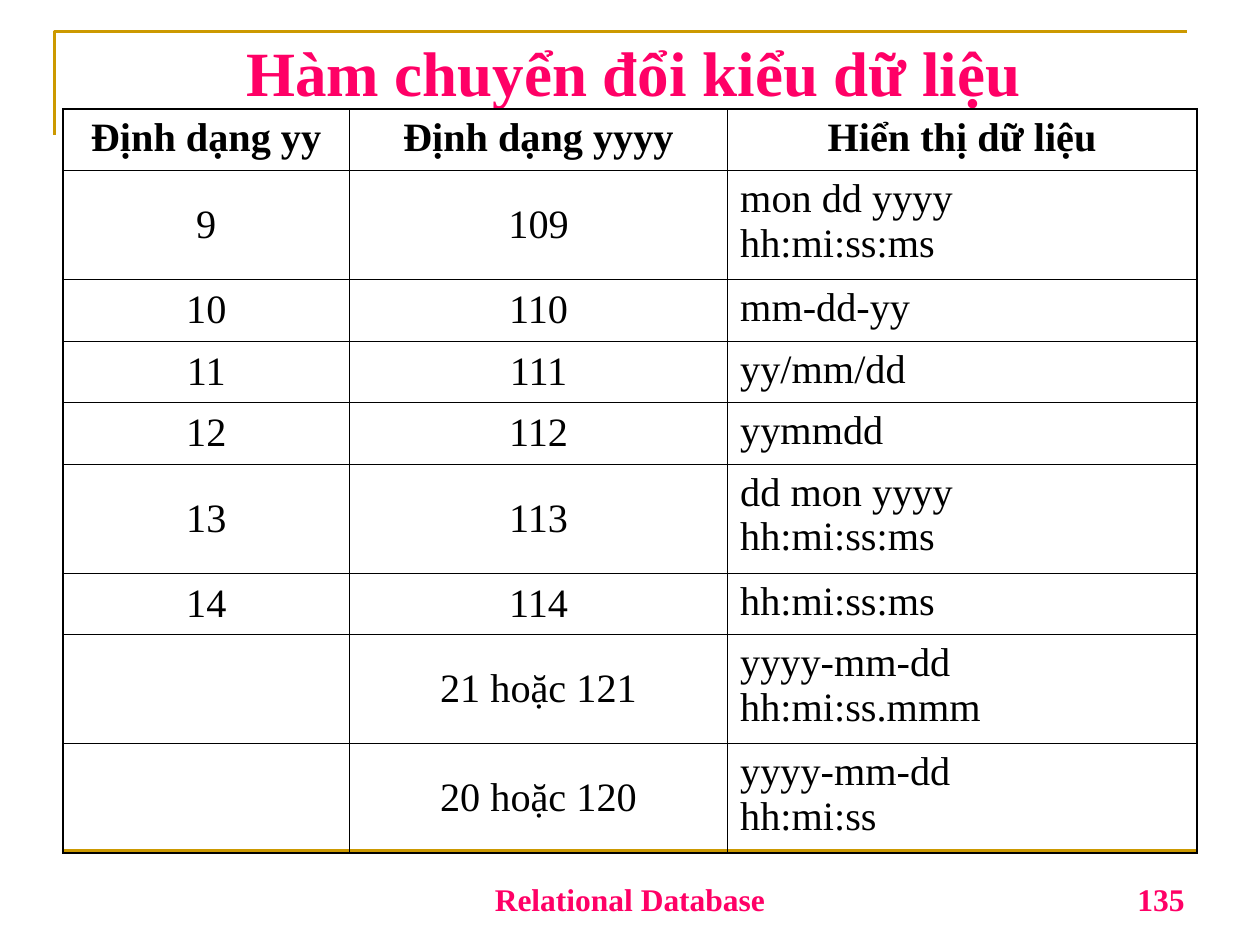
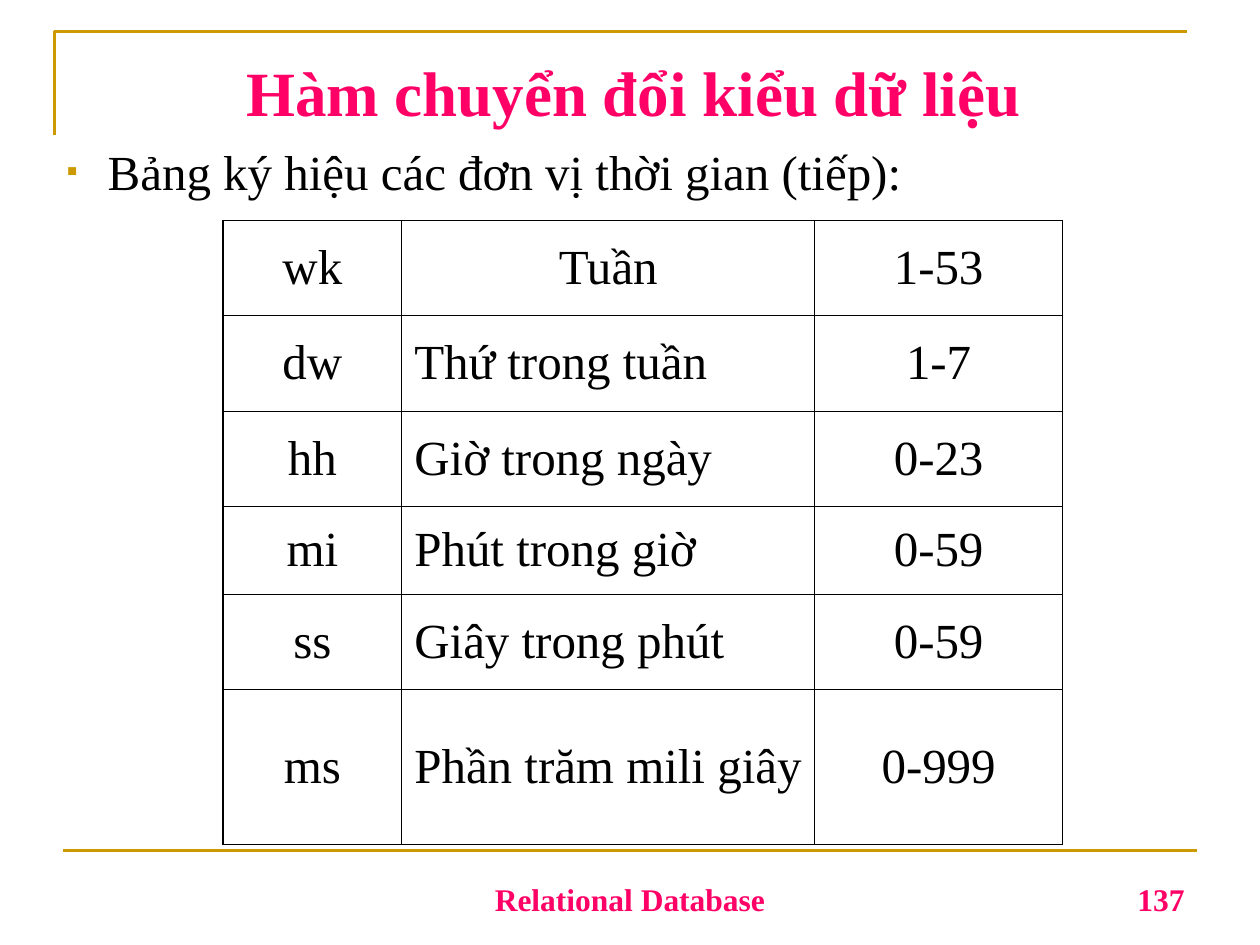
from lxml import etree
from pptx import Presentation
from pptx.dml.color import RGBColor
from pptx.enum import shapes, text
from pptx.oxml import ns
from pptx.util import Pt

FONT = "Times New Roman"
PINK, GOLD, BLACK = "FF0066", "CC9900", "000000"
LEFT, CENTER, RIGHT = text.PP_ALIGN.LEFT, text.PP_ALIGN.CENTER, text.PP_ALIGN.RIGHT
TOP, MIDDLE, BOTTOM = text.MSO_ANCHOR.TOP, text.MSO_ANCHOR.MIDDLE, text.MSO_ANCHOR.BOTTOM
OUTER_BORDER, INNER_BORDER = 1.08, 0.45

TITLE = "Hàm chuyển đổi kiểu dữ liệu"
FOOTER = "Relational Database"
HEADING = {"size": Pt(36), "bold": True, "color": PINK}
FOOTNOTE = {"size": Pt(18), "bold": True, "color": PINK}
BODY = {"size": Pt(28), "bold": False, "color": BLACK}
TABLE_TEXT = {"size": Pt(23), "bold": False, "color": BLACK}
TABLE_HEAD = {**TABLE_TEXT, "bold": True}

DATE_FORMATS = [
    ("Định dạng yy", "Định dạng yyyy", "Hiển thị dữ liệu"),
    ("9", "109", "mon dd yyyy\nhh:mi:ss:ms"),
    ("10", "110", "mm-dd-yy"),
    ("11", "111", "yy/mm/dd"),
    ("12", "112", "yymmdd"),
    ("13", "113", "dd mon yyyy\nhh:mi:ss:ms"),
    ("14", "114", "hh:mi:ss:ms"),
    ("", "21 hoặc 121", "yyyy-mm-dd\nhh:mi:ss.mmm"),
    ("", "20 hoặc 120", "yyyy-mm-dd\nhh:mi:ss"),
]
TIME_UNITS = [
    ("wk", "Tuần", "1-53"),
    ("dw", "Thứ trong tuần", "1-7"),
    ("hh", "Giờ trong ngày", "0-23"),
    ("mi", "Phút trong giờ", "0-59"),
    ("ss", "Giây trong phút", "0-59"),
    ("ms", "Phần trăm mili giây", "0-999"),
]


def color(value):
    return RGBColor.from_string(value)


def apply(target, values):
    for name, value in values.items():
        if name == "color":
            target.color.rgb = color(value)
        else:
            setattr(target, name, value)


def write(frame, content, style, align):
    frame.text = content
    for paragraph in frame.paragraphs:
        paragraph.alignment = align
        apply(paragraph.font, {"name": FONT, **style})


def add_text(slide, box, content, style, align=LEFT, anchor=TOP, top_inset=3.6):
    shape = slide.shapes.add_textbox(*map(Pt, box))
    frame = shape.text_frame
    apply(frame, {"word_wrap": True, "vertical_anchor": anchor, "margin_top": Pt(top_inset)})
    write(frame, content, style, align)
    return shape


def add_bullet(slide, box, content):
    paragraph = add_text(slide, box, content, BODY, top_inset=4).text_frame.paragraphs[0]
    properties = paragraph._p.get_or_add_pPr()
    for name, value in {"marL": Pt(23.5), "indent": -Pt(23.5)}.items():
        properties.set(name, str(int(value)))
    bullet_parts = [
        etree.Element(ns.qn("a:buClr")),
        etree.Element(ns.qn("a:buSzPct"), val="65000"),
        etree.Element(ns.qn("a:buFont"), typeface=FONT),
        etree.Element(ns.qn("a:buChar"), char="▪"),
    ]
    etree.SubElement(bullet_parts[0], ns.qn("a:srgbClr"), val=GOLD)
    for position, part in enumerate(bullet_parts):
        properties.insert(position, part)


def add_frame(slide, left, top, width, height):
    builder = slide.shapes.build_freeform(left, top + height, scale=Pt(1))
    builder.add_line_segments([(left, top), (left + width, top)], close=False)
    corner = builder.convert_to_shape()
    corner.shadow.inherit = False
    corner.fill.background()
    return corner


def add_rule(slide, left, top, width):
    ends = map(Pt, (left, top, left + width, top))
    rule = slide.shapes.add_connector(shapes.MSO_CONNECTOR.STRAIGHT, *ends)
    etree.SubElement(rule._element.spPr, ns.qn("a:effectLst"))
    return rule


def add_borders(cell, widths):
    properties = cell._tc.get_or_add_tcPr()
    for side, width in widths.items():
        line = etree.SubElement(properties, ns.qn(f"a:ln{side}"), w=str(int(Pt(width))))
        fill = etree.SubElement(line, ns.qn("a:solidFill"))
        etree.SubElement(fill, ns.qn("a:srgbClr"), val=BLACK)
    cell.fill.background()


def add_grid(slide, left, top, widths, heights, rows, format_cell):
    box = (left, top, sum(widths), sum(heights))
    table = slide.shapes.add_table(len(rows), len(widths), *map(Pt, box)).table
    apply(table, {"first_row": False, "horz_banding": False})
    for column, width in zip(table.columns, widths):
        column.width = Pt(width)
    last_row, last_column = len(rows) - 1, len(widths) - 1
    for i, row in enumerate(rows):
        table.rows[i].height = Pt(heights[i])
        for j, content in enumerate(row):
            cell = table.cell(i, j)
            style, align, anchor = format_cell(i, j)
            write(cell.text_frame, content, style, align)
            cell.vertical_anchor = anchor
            edges = {"L": j == 0, "R": j == last_column, "T": i == 0, "B": i == last_row}
            add_borders(cell, {side: OUTER_BORDER if outer else INNER_BORDER
                               for side, outer in edges.items()})


def format_date_cell(row, column):
    if row == 0:
        return TABLE_HEAD, CENTER, TOP
    return (TABLE_TEXT, LEFT, TOP) if column == 2 else (TABLE_TEXT, CENTER, MIDDLE)


def format_unit_cell(row, column):
    return BODY, LEFT if column == 1 and row > 0 else CENTER, MIDDLE


def add_base_slide(presentation, title_top, number):
    slide = presentation.slides.add_slide(presentation.slide_layouts[6])
    for shape in (add_frame(slide, 31, 18, 647, 59), add_rule(slide, 36, 486, 648)):
        apply(shape.line, {"color": GOLD, "width": Pt(1.5)})
    add_text(slide, (246, 492, 228, 36), FOOTER, FOOTNOTE, CENTER, BOTTOM)
    add_text(slide, (516, 492, 168, 36), number, FOOTNOTE, RIGHT, BOTTOM)
    add_text(slide, (41, title_top, 642, 61), TITLE, HEADING, CENTER, top_inset=3)
    return slide


def add_date_format_slide(presentation):
    slide = add_base_slide(presentation, 16, "135")
    heights = [62.3 if "\n" in row[2] else 35.1 for row in DATE_FORMATS]
    add_grid(slide, 36, 62.3, [163.8, 216, 268.2], heights, DATE_FORMATS, format_date_cell)


def add_time_unit_slide(presentation):
    slide = add_base_slide(presentation, 27.5, "137")
    heights = [54.4, 54.4, 54.4, 50.4, 54.4, 88.6]
    add_grid(slide, 127.4, 126, [102.2, 236, 141.6], heights, TIME_UNITS, format_unit_cell)
    add_bullet(slide, (31, 77, 629, 41), "Bảng ký hiệu các đơn vị thời gian (tiếp):")


def main():
    presentation = Presentation()
    apply(presentation, {"slide_width": Pt(720), "slide_height": Pt(540)})
    add_date_format_slide(presentation)
    add_time_unit_slide(presentation)
    presentation.save("out.pptx")


if __name__ == "__main__":
    main()
